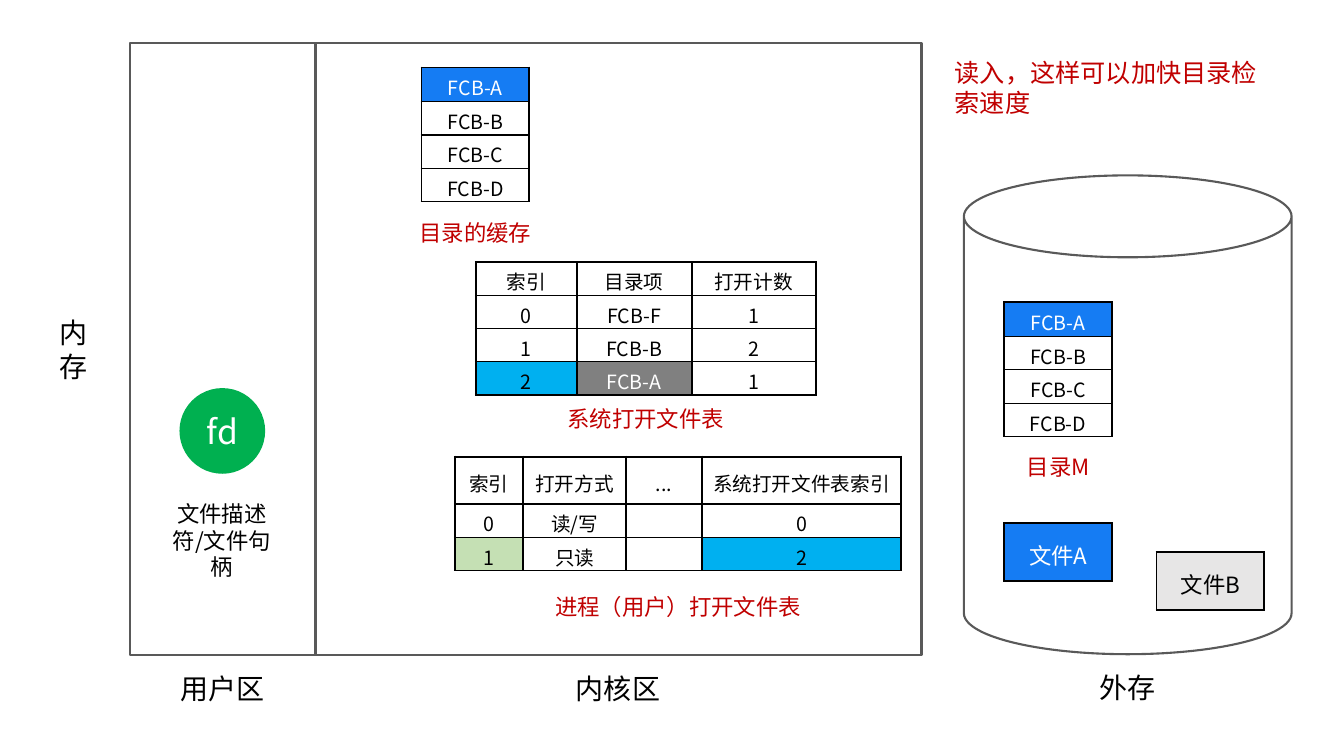
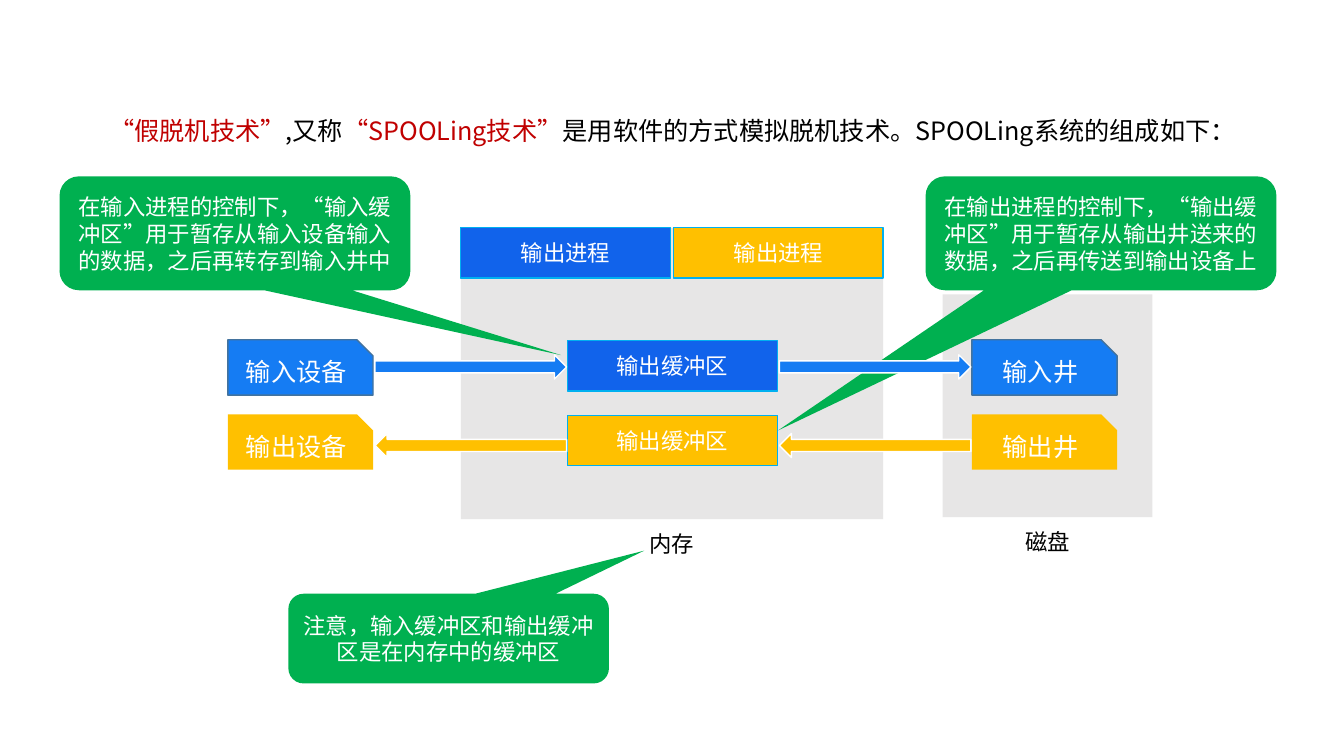
from dataclasses import dataclass

from lxml.etree import SubElement
from pptx import Presentation
from pptx.dml.color import RGBColor
from pptx.enum.lang import MSO_LANGUAGE_ID
from pptx.enum.shapes import MSO_SHAPE
from pptx.enum.text import MSO_ANCHOR, PP_ALIGN
from pptx.oxml.ns import qn
from pptx.util import Pt

PX = 9144  # 100 px to the inch
FONT = "Noto Sans CJK SC"

BLACK = RGBColor(0x00, 0x00, 0x00)
WHITE = RGBColor(0xFF, 0xFF, 0xFF)
RED = RGBColor(0xC0, 0x00, 0x00)
GREEN = RGBColor(0x00, 0xB0, 0x50)
PALE_GREEN = RGBColor(0xC5, 0xE0, 0xB4)
BLUE = RGBColor(0x15, 0x7C, 0xF3)
DEEP_BLUE = RGBColor(0x11, 0x63, 0xEB)
SKY = RGBColor(0x00, 0xB0, 0xF0)
STEEL = RGBColor(0x43, 0x73, 0x9E)
AMBER = RGBColor(0xFF, 0xC0, 0x00)
PALE_GREY = RGBColor(0xE7, 0xE6, 0xE6)
GREY = RGBColor(0x80, 0x80, 0x80)
DARK_GREY = RGBColor(0x59, 0x59, 0x59)


@dataclass(frozen=True)
class Box:
    left: int
    top: int
    width: int
    height: int

    def inside(self, dx, dy, width, height):
        return Box(self.left + dx, self.top + dy, width, height)

    def below(self, gap, width, height):
        """A box centred under this one."""
        return self.inside((self.width - width) // 2, self.height + gap, width, height)

    def emu(self):
        return [v * PX for v in (self.left, self.top, self.width, self.height)]


# Shared text, shape and table helpers
def write(frame, runs, size, align=PP_ALIGN.CENTER, anchor=MSO_ANCHOR.TOP):
    """Fill a text frame with one paragraph of (text, colour) runs."""
    for key, value in {"word_wrap": True, "vertical_anchor": anchor}.items():
        setattr(frame, key, value)
    paragraph = frame.paragraphs[0]
    paragraph.alignment = align
    for text, colour in runs:
        run = paragraph.add_run()
        run.text = text
        formats = {"name": FONT, "size": Pt(size), "bold": False,
                   "language_id": MSO_LANGUAGE_ID.SIMPLIFIED_CHINESE}
        for key, value in formats.items():
            setattr(run.font, key, value)
        run.font.color.rgb = colour
        SubElement(run.font._element, qn("a:ea"), typeface=FONT)


def add_label(slide, box, text, size, colour=BLACK, align=PP_ALIGN.CENTER):
    frame = slide.shapes.add_textbox(*box.emu()).text_frame
    write(frame, [(text, colour)], size, align)


def add_block(slide, kind, box, fill=None, line=None, weight=1, text="", size=16, adjust=()):
    block = slide.shapes.add_shape(kind, *box.emu())
    block.shadow.inherit = False
    if fill is None:
        block.fill.background()
    else:
        block.fill.solid()
        block.fill.fore_color.rgb = fill
    if line is None:
        block.line.fill.background()
    else:
        block.line.color.rgb = line
        block.line.width = Pt(weight)
    for index, value in enumerate(adjust):
        block.adjustments[index] = value
    if text:
        write(block.text_frame, [(text, WHITE)], size, anchor=MSO_ANCHOR.MIDDLE)


def add_borders(cell, top, bottom):
    properties = cell._tc.get_or_add_tcPr()
    for side, weight in {"L": 1.5, "R": 1.5, "T": top, "B": bottom}.items():
        edge = SubElement(properties, qn(f"a:ln{side}"), w=str(Pt(weight)))
        fill = SubElement(edge, qn("a:solidFill"))
        SubElement(fill, qn("a:srgbClr"), val=str(BLACK))


def add_grid(slide, origin, columns, heights, rows, marks, size=14):
    """Draw a ruled table; marks maps (row, column) to (fill, text colour)."""
    box = Box(*origin, sum(columns), sum(heights))
    table = slide.shapes.add_table(len(rows), len(columns), *box.emu()).table
    table.first_row = table.horz_banding = False
    for column, width in zip(table.columns, columns):
        column.width = width * PX
    last = len(rows) - 1
    for r, (texts, height) in enumerate(zip(rows, heights)):
        table.rows[r].height = height * PX
        for c, text in enumerate(texts):
            fill, colour = marks.get((r, c), (WHITE, BLACK))
            cell = table.cell(r, c)
            add_borders(cell, 1 if r else 1.5, 1 if r < last else 1.5)
            cell.fill.solid()
            cell.fill.fore_color.rgb = fill
            cell.margin_top, cell.margin_bottom = 5 * PX, 0
            cell.vertical_anchor = MSO_ANCHOR.MIDDLE
            if text:
                write(cell.text_frame, [(text, colour)], size, anchor=MSO_ANCHOR.MIDDLE)
            else:
                SubElement(cell.text_frame.paragraphs[0]._p, qn("a:endParaRPr"),
                           sz=str(size * 100))
    return box


def add_caption(slide, table_box, gap, text):
    add_label(slide, table_box.below(gap, 281, 37), text, 16, RED)


def add_directory(slide, origin, gap, caption):
    rows = [[f"FCB-{letter}"] for letter in "ABCD"]
    box = add_grid(slide, origin, [107], [34, 33, 33, 33], rows, {(0, 0): (BLUE, WHITE)})
    add_caption(slide, box, gap, caption)


def add_area(slide, kind, box, name):
    add_block(slide, kind, box, line=DARK_GREY, weight=1.5)
    add_label(slide, box.below(11, 116, 44), name, 20)


# Slide 1: opening a file
def user_area(slide, box):
    add_area(slide, MSO_SHAPE.RECTANGLE, box, "用户区")
    add_block(slide, MSO_SHAPE.OVAL, box.inside(49, 342, 85, 85), GREEN, text="fd", size=24)
    add_label(slide, box.inside(22, 448, 138, 64), "文件描述符/文件句柄", 16)


def kernel_area(slide, box):
    add_area(slide, MSO_SHAPE.RECTANGLE, box, "内核区")
    add_directory(slide, (box.left + 106, box.top + 24), 12, "目录的缓存")

    system_rows = [["索引", "目录项", "打开计数"], ["0", "FCB-F", "1"],
                   ["1", "FCB-B", "2"], ["2", "FCB-A", "1"]]
    system_table = add_grid(slide, (box.left + 160, box.top + 217), [100, 114, 123],
                            [33] * 4, system_rows,
                            {(3, 0): (SKY, BLACK), (3, 1): (GREY, WHITE)})
    add_caption(slide, system_table, 5, "系统打开文件表")

    process_rows = [["索引", "打开方式", "...", "系统打开文件表索引"],
                    ["0", "读/写", "", "0"], ["1", "只读", "", "2"]]
    process_table = add_grid(slide, (box.left + 139, box.top + 410), [68, 102, 75, 198],
                             [47, 33, 33], process_rows,
                             {(2, 0): (PALE_GREEN, BLACK), (2, 3): (SKY, BLACK)})
    add_caption(slide, process_table, 18, "进程（用户）打开文件表")


def disk_area(slide, box):
    add_area(slide, MSO_SHAPE.CAN, box, "外存")
    add_label(slide, box.inside(-19, -122, 336, 71), "读入，这样可以加快目录检索速度",
              18, RED, PP_ALIGN.LEFT)
    add_directory(slide, (box.left + 40, box.top + 126), 12, "目录M")
    files = [("文件A", 40, 345, BLUE, WHITE), ("文件B", 191, 374, PALE_GREY, BLACK)]
    for name, dx, dy, fill, colour in files:
        add_grid(slide, (box.left + dx, box.top + dy), [107], [57], [[name]],
                 {(0, 0): (fill, colour)}, 16)


def open_file_slide(prs):
    slide = prs.slides.add_slide(prs.slide_layouts[6])
    user_area(slide, Box(129, 43, 184, 607))
    kernel_area(slide, Box(312, 43, 602, 607))
    disk_area(slide, Box(956, 174, 325, 475))
    add_label(slide, Box(48, 308, 49, 77), "内存", 20)


# Slide 2: SPOOLing
def heading(slide, box):
    title = slide.shapes.title
    title.left, title.top, title.width, title.height = box.emu()
    frame = title.text_frame
    for side in ("left", "right"):
        setattr(frame, f"margin_{side}", 10 * PX)
    write(frame, [("“假脱机技术”", RED), (",又称", BLACK), ("“SPOOLing技术”", RED),
                  ("是用软件的方式模拟脱机技术。SPOOLing系统的组成如下：", BLACK)], 18)
    frame.paragraphs[0].line_spacing = 1.0


def panel(slide, box, name):
    add_block(slide, MSO_SHAPE.RECTANGLE, box, PALE_GREY)
    add_label(slide, box.below(6, 182, 37), name, 16)


def processes(slide, box):
    for dx, fill in ((0, DEEP_BLUE), (211, AMBER)):
        add_block(slide, MSO_SHAPE.RECTANGLE, box.inside(dx, 0, 208, box.height),
                  fill, SKY, text="输出进程")


def callout(slide, box, text, tip):
    add_block(slide, MSO_SHAPE.ROUNDED_RECTANGULAR_CALLOUT, box, GREEN,
              text=text, adjust=(*tip, 0.17))


def data_flow(slide, box, names, fill, buffer_fill, line, arrow):
    """One row: device, buffer and well, joined by two arrows."""
    device, buffer, well = names
    add_block(slide, MSO_SHAPE.RECTANGLE, box.inside(337, 1, 208, 50),
              buffer_fill, SKY, text=buffer)
    for dx, name in ((0, device), (738, well)):
        add_block(slide, MSO_SHAPE.SNIP_1_RECTANGLE, box.inside(dx, 0, 144, box.height),
                  fill, line, text=name, size=18, adjust=(0.29,))
    kind, dy = arrow
    for dx in (146, 547):
        add_block(slide, kind, box.inside(dx, dy, 190, 24), fill, WHITE)


def spooling_slide(prs):
    slide = prs.slides.add_slide(prs.slide_layouts[5])
    heading(slide, Box(94, 109, 1146, 40))
    panel(slide, Box(935, 292, 208, 221), "磁盘")
    panel(slide, Box(457, 226, 419, 289), "内存")
    processes(slide, Box(457, 226, 419, 50))

    callouts = [
        (Box(59, 175, 348, 113), (0.93, 1.07),
         "在输入进程的控制下，“输入缓冲区”用于暂存从输入设备输入的数据，之后再转存到输入井中"),
        (Box(918, 175, 348, 113), (-0.92, 1.73),
         "在输出进程的控制下，“输出缓冲区”用于暂存从输出井送来的数据，之后再传送到输出设备上"),
        (Box(286, 589, 318, 89), (0.61, -0.98),
         "注意，输入缓冲区和输出缓冲区是在内存中的缓冲区"),
    ]
    for box, tip, text in callouts:
        callout(slide, box, text, tip)

    data_flow(slide, Box(226, 337, 882, 55), ("输入设备", "输出缓冲区", "输入井"),
              BLUE, DEEP_BLUE, STEEL, (MSO_SHAPE.RIGHT_ARROW, 15))
    data_flow(slide, Box(226, 411, 882, 55), ("输出设备", "输出缓冲区", "输出井"),
              AMBER, AMBER, None, (MSO_SHAPE.LEFT_ARROW, 19))


def main():
    prs = Presentation()
    prs.slide_width, prs.slide_height = 1333 * PX, 750 * PX
    open_file_slide(prs)
    spooling_slide(prs)
    prs.save("out.pptx")


if __name__ == "__main__":
    main()
